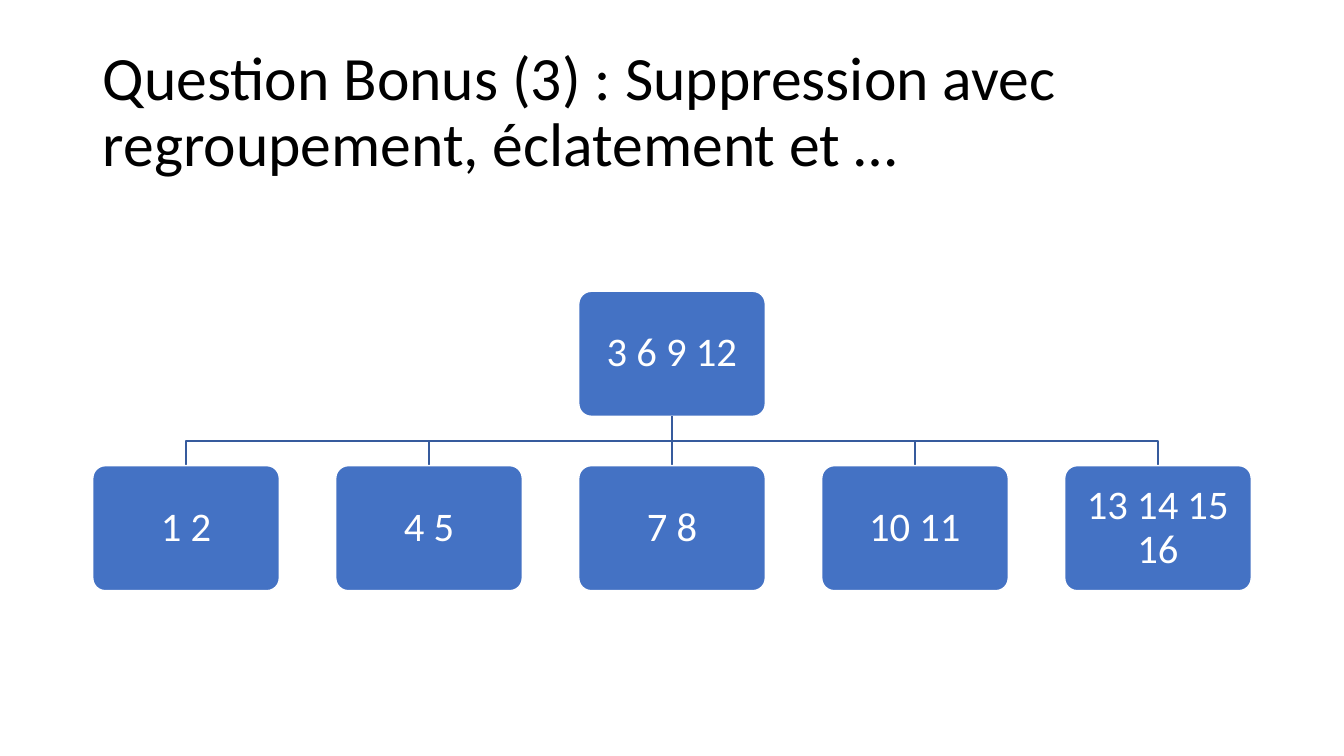
from lxml.etree import SubElement
from pptx import Presentation
from pptx.dml.color import RGBColor as RGB
from pptx.enum.shapes import MSO_CONNECTOR as Conn, MSO_SHAPE as Shape
from pptx.enum.text import MSO_ANCHOR as Anchor, MSO_AUTO_SIZE as Auto, PP_ALIGN as Align
from pptx.oxml.ns import qn
from pptx.util import Inches, Pt

HUES = {"node": "4472C4", "edge": "365B9D", "light": "FFFFFF", "dark": "000000"}
WIDE, HIGH, STEP = 1.85, 1.24, 2.41
LEFT, ROOT, LEAF = 0.92, 2.89, 4.62
LEAVES = ["1 2", "4 5", "7 8", "10 11", "13 14 15 16"]


def apply(item, **vals):
    """Set each named value on the item."""
    for name, val in vals.items():
        setattr(item, name, val)


class Tree:
    """Draw the parts of a tree slide in one style."""

    def __init__(self, deck):
        self.slide = deck.slides.add_slide(deck.slide_layouts[5])
        self.font = "Calibri"

    def hue(self, name):
        return RGB.from_string(HUES[name])

    def label(self, frame, text, size, hue, align, inset):
        apply(frame, text=text, word_wrap=True, auto_size=Auto.NONE,
              vertical_anchor=Anchor.MIDDLE, **inset)
        para = frame.paragraphs[0]
        apply(para, alignment=align, line_spacing=0.9)
        apply(para.font, name=self.font, size=Pt(size))
        para.font.color.rgb = self.hue(hue)

    def title(self, text):
        head = self.slide.shapes.title
        apply(head, left=Inches(0.92), top=Inches(0.4),
              width=Inches(11.5), height=Inches(1.45))
        self.label(head.text_frame, text, 44, "dark", Align.LEFT, {})

    def stroke(self, item, hue):
        item.line.color.rgb = self.hue(hue)
        item.line.width = Pt(1)

    def node(self, text, x, y):
        box = self.slide.shapes.add_shape(
            Shape.ROUNDED_RECTANGLE, Inches(x), Inches(y), Inches(WIDE), Inches(HIGH))
        box.adjustments[0] = 0.1
        box.shadow.inherit = False
        box.fill.solid()
        box.fill.fore_color.rgb = self.hue("node")
        self.stroke(box, "light")
        sides = ("left", "right", "top", "bottom")
        inset = {f"margin_{side}": Inches(0.12) for side in sides}
        self.label(box.text_frame, text, 29, "light", Align.CENTER, inset)

    def edge(self, x, y, to_x, to_y):
        shapes = self.slide.shapes
        x, y, to_x, to_y = (Inches(val) for val in (x, y, to_x, to_y))
        if x == to_x:
            line = shapes.add_connector(Conn.STRAIGHT, x, y, to_x, to_y)
            self.stroke(line, "edge")
            SubElement(line._element.spPr, qn("a:effectLst"))
            return
        mid = (y + to_y) // 2
        pen = shapes.build_freeform(x, y)
        pen.add_line_segments([(x, mid), (to_x, mid), (to_x, to_y)], close=False)
        line = pen.convert_to_shape()
        line.fill.background()
        line.shadow.inherit = False
        self.stroke(line, "edge")


def main():
    """Build the slide and save it."""
    deck = Presentation()
    apply(deck, slide_width=Inches(13.33), slide_height=Inches(7.5))
    tree = Tree(deck)
    tree.title("Question Bonus (3) : Suppression avec regroupement, éclatement et …")
    half = WIDE / 2
    root = LEFT + len(LEAVES) // 2 * STEP
    tree.node("3 6 9 12", root, ROOT)
    for rank, text in enumerate(LEAVES):
        x = LEFT + rank * STEP
        tree.edge(root + half, ROOT + HIGH, x + half, LEAF)
        tree.node(text, x, LEAF)
    deck.save("out.pptx")


if __name__ == "__main__":
    main()
